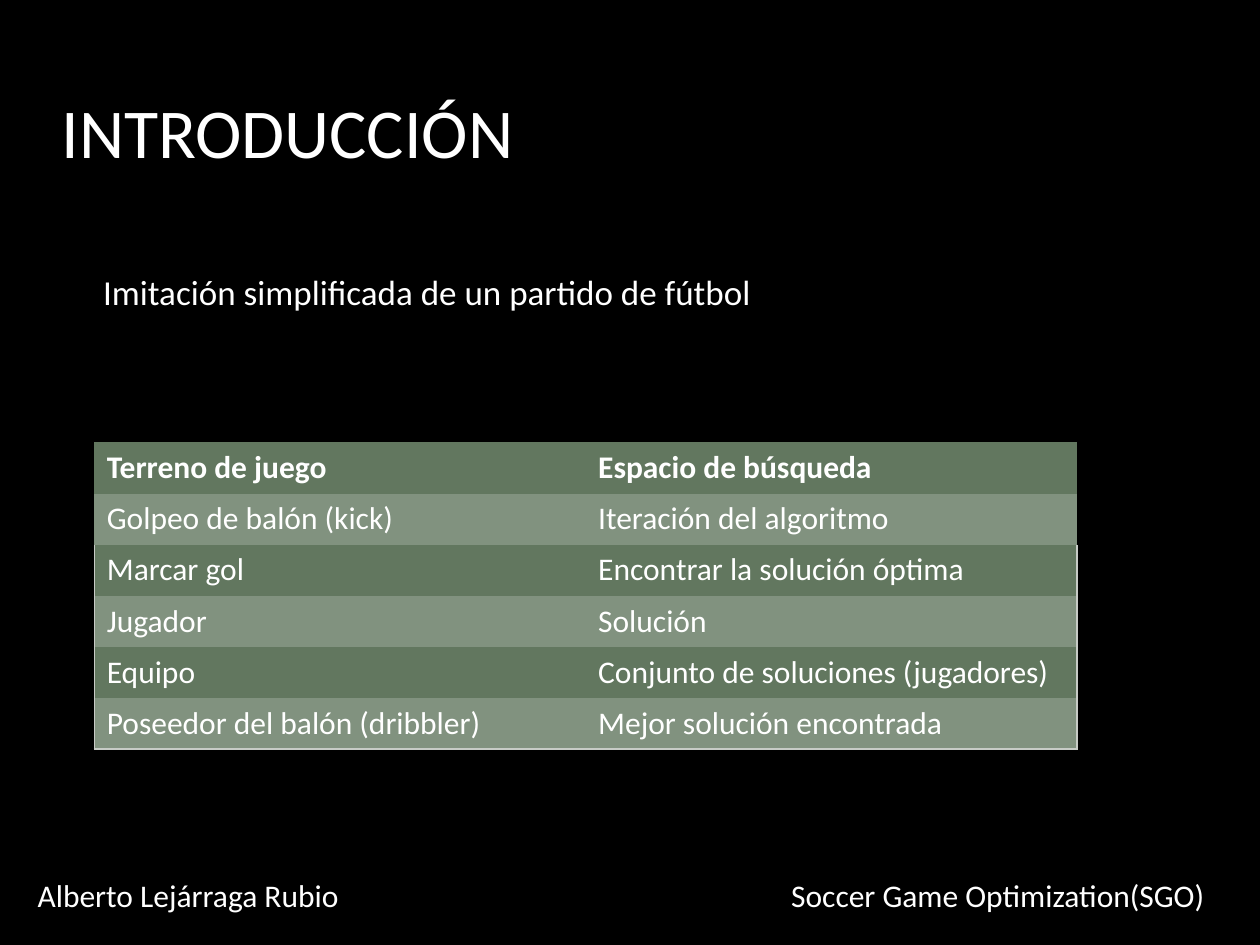
"""Build the introduction slide that maps football terms to search terms."""
import pptx
import pptx.dml.color
import pptx.enum.text
import pptx.oxml
import pptx.oxml.ns
import pptx.util

Cm = pptx.util.Cm
Pt = pptx.util.Pt
BLACK = pptx.dml.color.RGBColor(0x00, 0x00, 0x00)
WHITE = pptx.dml.color.RGBColor(0xFF, 0xFF, 0xFF)
DARK_GREEN = pptx.dml.color.RGBColor(0x62, 0x77, 0x5F)
LIGHT_GREEN = pptx.dml.color.RGBColor(0x81, 0x92, 0x7F)
BORDER_GREY = pptx.dml.color.RGBColor(0xC7, 0xCB, 0xC6)
NO_STYLE = "{2D5ABB26-0587-4C30-8999-92F81FD0307C}"


def write_text(frame, text, size=18, bold=False, before=0):
    para = frame.paragraphs[0]
    para.space_before = Pt(before)
    span = para.add_run()
    span.text = text
    span.font.name = "Calibri"
    span.font.size = Pt(size)
    span.font.bold = bold
    span.font.color.rgb = WHITE


def add_border(cell, side):
    line = pptx.oxml.parse_xml(
        f'<a:ln{side} {pptx.oxml.ns.nsdecls("a")} w="{Pt(0.75)}"><a:solidFill>'
        f'<a:srgbClr val="{BORDER_GREY}"/></a:solidFill></a:ln{side}>'
    )
    cell._tc.get_or_add_tcPr().append(line)


deck = pptx.Presentation()
deck.slide_width = Cm(25.4)
deck.slide_height = Cm(19.05)
page = deck.slides.add_slide(deck.slide_layouts[6])
page.background.fill.solid()
page.background.fill.fore_color.rgb = BLACK

TOP = pptx.enum.text.MSO_ANCHOR.TOP
BOTTOM = pptx.enum.text.MSO_ANCHOR.BOTTOM
texts = [
    ("INTRODUCCIÓN", 0.99, 0.64, 21.34, 2.97, 40, BOTTOM, 4),
    ("Imitación simplificada de un partido de fútbol", 1.83, 5.33, 16.41, 1.12, 20, TOP, 0),
    ("Alberto Lejárraga Rubio", 0.51, 17.53, 6.83, 1.02, 18, TOP, 0),
    ("Soccer Game Optimization(SGO)", 15.7, 17.53, 9.35, 1.02, 18, TOP, 0),
]
for text, left, top, width, height, size, anchor, before in texts:
    box = page.shapes.add_textbox(Cm(left), Cm(top), Cm(width), Cm(height))
    box.text_frame.word_wrap = True
    box.text_frame.vertical_anchor = anchor
    write_text(box.text_frame, text, size=size, before=before)

rows = [
    ("Terreno de juego", "Espacio de búsqueda"),
    ("Golpeo de balón (kick)", "Iteración del algoritmo"),
    ("Marcar gol", "Encontrar la solución óptima"),
    ("Jugador", "Solución"),
    ("Equipo", "Conjunto de soluciones (jugadores)"),
    ("Poseedor del balón (dribbler)", "Mejor solución encontrada"),
]
frame = page.shapes.add_table(len(rows), 2, Cm(1.9), Cm(8.92), Cm(19.81), Cm(6.18))
table = frame.table
table._tbl.tblPr.find(pptx.oxml.ns.qn("a:tableStyleId")).text = NO_STYLE
for row_index, row in enumerate(rows):
    for column_index, text in enumerate(row):
        cell = table.cell(row_index, column_index)
        write_text(cell.text_frame, text, bold=row_index == 0)
        if row_index >= 2:
            add_border(cell, "LR"[column_index])
        if row_index == len(rows) - 1:
            add_border(cell, "B")
        cell.fill.solid()
        cell.fill.fore_color.rgb = LIGHT_GREEN if row_index % 2 else DARK_GREEN

deck.save("out.pptx")
